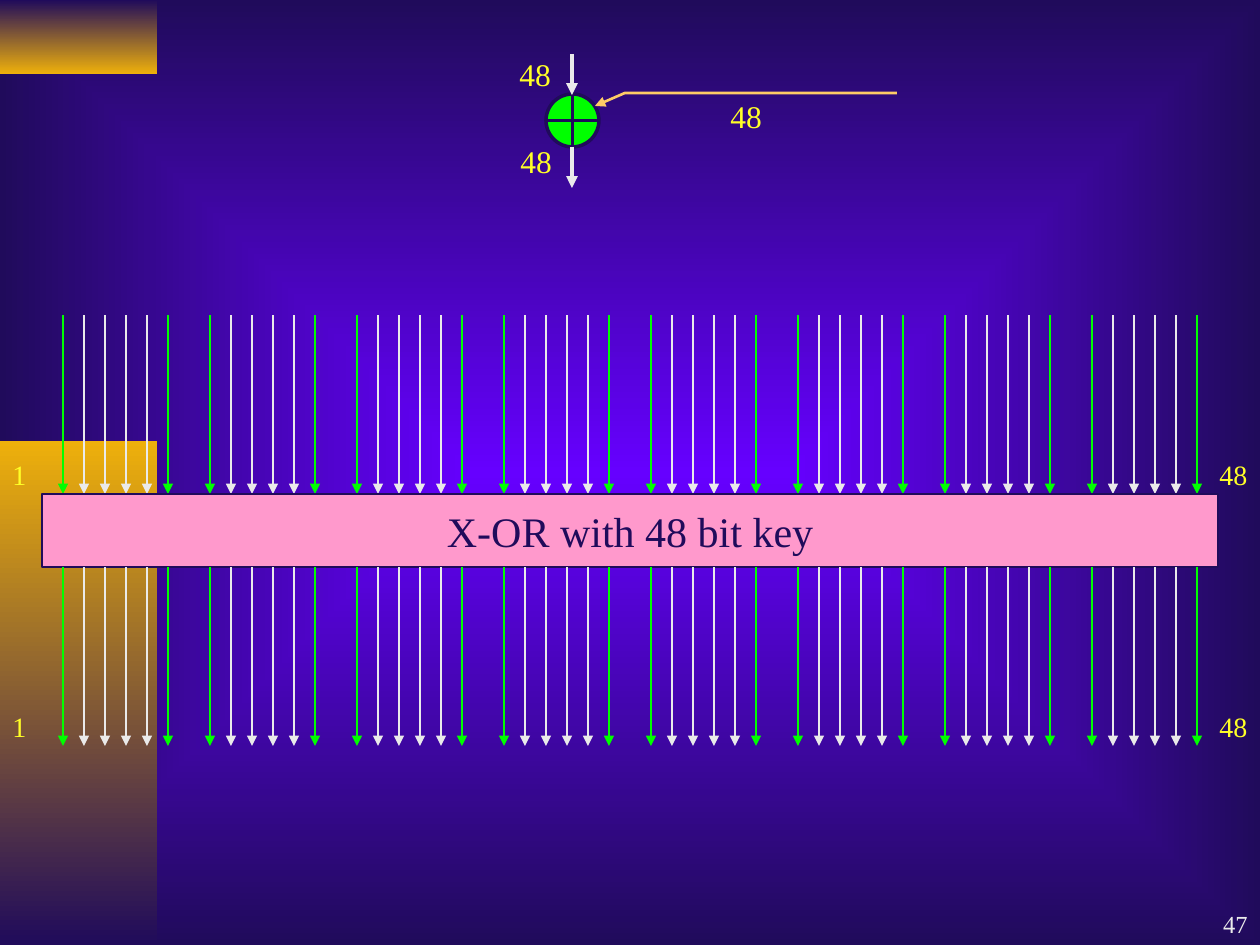
import pptx
import pptx.dml.color
import pptx.enum.shapes
import pptx.enum.text
import pptx.oxml
import pptx.oxml.ns
import pptx.util

MSO_SHAPE = pptx.enum.shapes.MSO_SHAPE
PP_ALIGN = pptx.enum.text.PP_ALIGN
MSO_ANCHOR = pptx.enum.text.MSO_ANCHOR
qn = pptx.oxml.ns.qn

FONT = "Times New Roman"
COLORS = {
    "violet": "6600FF",
    "navy": "200B5B",
    "gold": "EEB00B",
    "green": "00FF00",
    "white": "EAEAEA",
    "yellow": "FFFF27",
    "pink": "FF99CC",
    "orange": "FFCC66",
}


def px(n):
    return round(n * 914400 / 126)


def rgb(name):
    return pptx.dml.color.RGBColor.from_string(COLORS[name])


def set_gradient(fill, start, end):
    fill.gradient()
    fill.gradient_angle = 270
    for stop, color in zip(fill.gradient_stops, (start, end)):
        stop.color.rgb = rgb(color)


def set_background(s):
    set_gradient(s.background.fill, "violet", "navy")
    lin = s.element.find(".//" + qn("a:lin"))
    radial = pptx.oxml.parse_xml(
        f'<a:path {pptx.oxml.ns.nsdecls("a")} path="rect">'
        '<a:fillToRect l="50000" t="50000" r="50000" b="50000"/></a:path>'
    )
    lin.getparent().replace(lin, radial)


def set_line(shape, color, width, arrow=False):
    shape.line.color.rgb = rgb(color)
    shape.line.width = pptx.util.Pt(width)
    if arrow:
        ln = shape.element.find(".//" + qn("a:ln"))
        ln.append(ln.makeelement(qn("a:tailEnd"), {"type": "triangle"}))


def add_block(s, kind, left, top, width, height):
    sp = s.shapes.add_shape(kind, px(left), px(top), px(width), px(height))
    sp.shadow.inherit = False
    return sp


def add_band(s, top, height, start, end):
    sp = add_block(s, MSO_SHAPE.RECTANGLE, 0, top, 157, height)
    set_gradient(sp.fill, start, end)
    sp.line.fill.background()


def add_filled(s, kind, left, top, width, height, fill, line_width):
    sp = add_block(s, kind, left, top, width, height)
    sp.fill.solid()
    sp.fill.fore_color.rgb = rgb(fill)
    set_line(sp, "navy", line_width)
    return sp


def set_text(sp, text, size, color, align=PP_ALIGN.LEFT, anchor=MSO_ANCHOR.TOP):
    tf = sp.text_frame
    tf.word_wrap = False
    tf.vertical_anchor = anchor
    p = tf.paragraphs[0]
    p.text = text
    p.alignment = align
    p.font.name = FONT
    p.font.size = pptx.util.Pt(size)
    p.font.color.rgb = rgb(color)


def add_label(s, text, left, top, width, height, size, color="yellow", **layout):
    sp = s.shapes.add_textbox(px(left), px(top), px(width), px(height))
    set_text(sp, text, size, color, **layout)
    return sp


def add_arrow(s, x, top, bottom, color, width):
    line = s.shapes.add_connector(
        pptx.enum.shapes.MSO_CONNECTOR.STRAIGHT, px(x), px(top), px(x), px(bottom)
    )
    set_line(line, color, width, arrow=True)
    props = line.element.spPr
    props.append(props.makeelement(qn("a:effectLst"), {}))


def add_bit_arrows(s, top):
    for group in range(8):
        for bit in range(6):
            color = "green" if bit in (0, 5) else "white"
            add_arrow(s, 63 + 147 * group + 21 * bit, top, top + 179, color, 0.75)
    add_label(s, "1", 0, top + 136, 39, 47, 16)
    add_label(s, "48", 1207, top + 136, 53, 47, 16)


def add_key_input(s):
    builder = s.shapes.build_freeform(px(897), px(93))
    builder.add_line_segments([(px(625), px(93)), (px(595), px(106))], close=False)
    sp = builder.convert_to_shape()
    sp.shadow.inherit = False
    sp.fill.background()
    set_line(sp, "orange", 1.5, arrow=True)


def add_xor_symbol(s):
    add_filled(s, MSO_SHAPE.FLOWCHART_OR, 546, 94, 53, 53, "green", 2)
    add_key_input(s)
    for top in (54, 147):
        add_arrow(s, 572, top, top + 41, "white", 2.25)
    for left, top in ((507, 49), (718, 91), (508, 136)):
        add_label(s, "48", left, top, 57, 51, 18)


def main():
    prs = pptx.Presentation()
    prs.slide_width, prs.slide_height = px(1260), px(945)
    s = prs.slides.add_slide(prs.slide_layouts[6])
    set_background(s)
    add_band(s, 0, 74, "navy", "gold")
    add_band(s, 441, 504, "gold", "navy")
    add_bit_arrows(s, 315)
    bar = add_filled(s, MSO_SHAPE.RECTANGLE, 42, 494, 1176, 73, "pink", 1.5)
    set_text(bar, "X-OR with 48 bit key", 24, "navy", PP_ALIGN.CENTER, MSO_ANCHOR.MIDDLE)
    add_bit_arrows(s, 567)
    add_xor_symbol(s)
    number = add_label(s, "47", 998, 882, 262, 63, 14, "white",
                       align=PP_ALIGN.RIGHT, anchor=MSO_ANCHOR.BOTTOM)
    number.text_frame.word_wrap = True
    prs.save("out.pptx")


if __name__ == "__main__":
    main()
